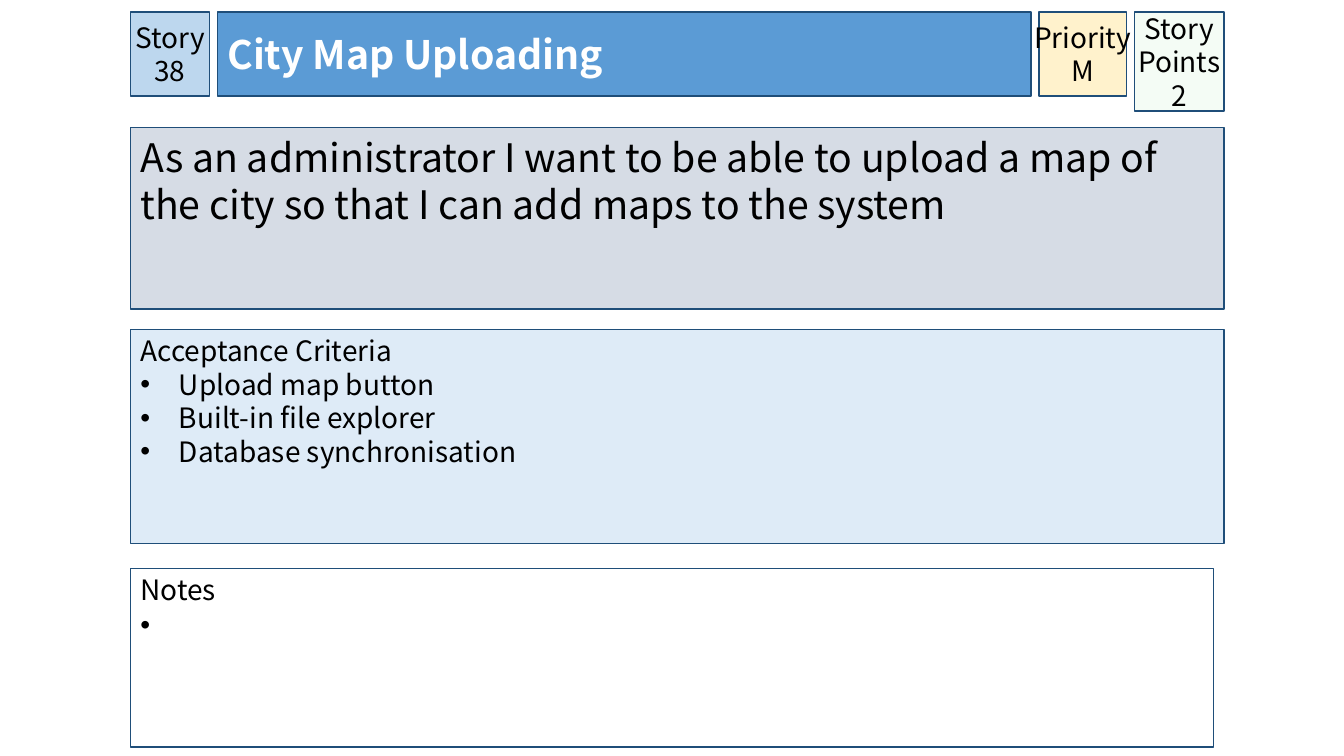
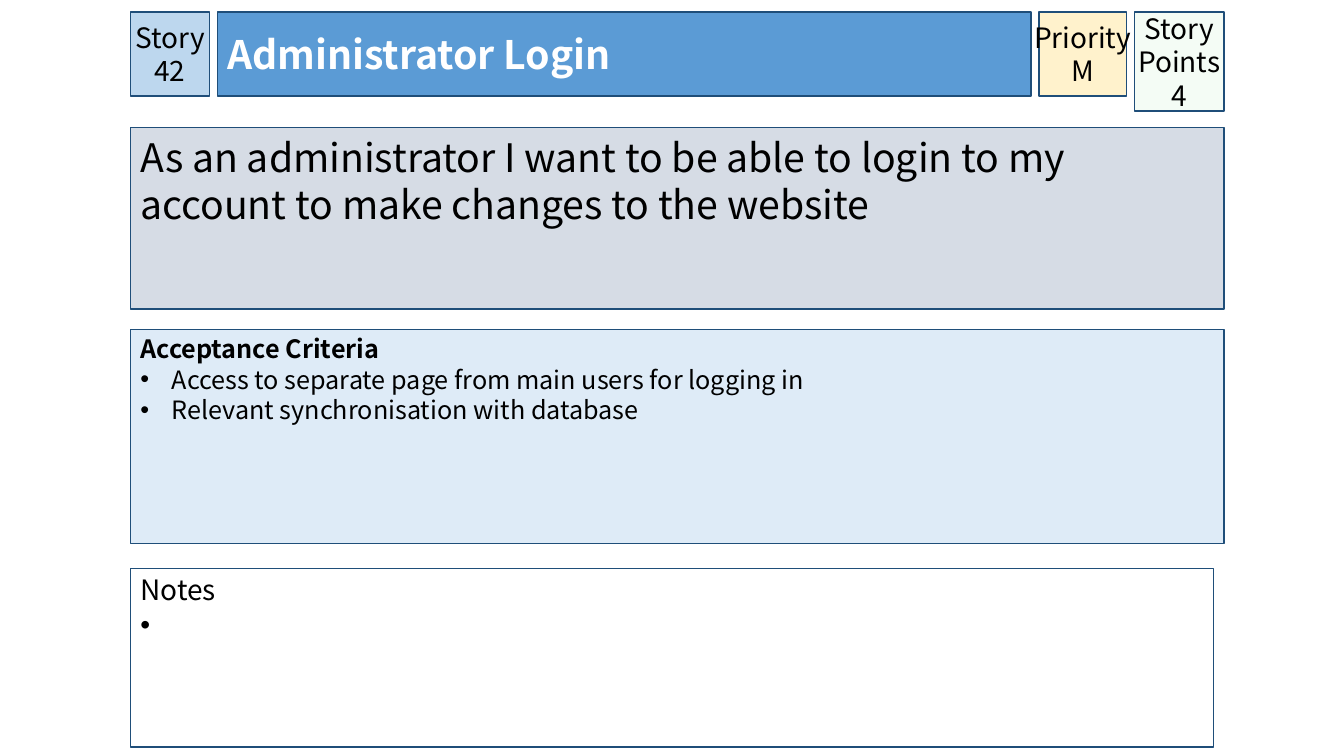
"""Build two user story cards, one per slide."""
from dataclasses import dataclass

from lxml.etree import SubElement
from pptx import Presentation
from pptx.dml.color import RGBColor
from pptx.enum.shapes import MSO_SHAPE
from pptx.enum.text import MSO_ANCHOR, PP_ALIGN
from pptx.oxml.ns import qn
from pptx.util import Cm, Pt


@dataclass(frozen=True)
class Theme:
    font: str = "Noto Sans CJK KR"
    ink: str = "000000"
    light: str = "FFFFFF"
    edge: str = "1F4E79"
    story: str = "BDD7EE"
    title: str = "5B9BD5"
    rank: str = "FFF2CC"
    points: str = "CCF0CD"
    goal: str = "D6DCE5"
    tests: str = "DEEBF7"
    notes: str = "FFFFFF"
    large: int = 28
    body: int = 20
    small: int = 18


THEME = Theme()

STORIES = [
    {
        "story": ["Story 38"],
        "title": ["City Map Uploading"],
        "rank": ["Priority", "M"],
        "points": ["Story Points", "2"],
        "goal": ["As an administrator I want to be able to upload a map of the city "
                 "so that I can add maps to the system"],
        "tests": ["Acceptance Criteria", "Upload map button",
                  "Built-in file explorer", "Database synchronisation"],
        "notes": ["Notes", "•"],
        "style": {"indent": 0.97},
    },
    {
        "story": ["Story 42"],
        "title": ["Administrator Login"],
        "rank": ["Priority", "M"],
        "points": ["Story Points", "4"],
        "goal": ["As an administrator I want to be able to login to my account "
                 "to make changes to the website"],
        "tests": ["Acceptance Criteria",
                  "Access to separate page from main users for logging in",
                  "Relevant synchronisation with database"],
        "notes": ["Notes", "•"],
        "style": {"indent": 0.79, "size": THEME.small, "bold": True},
    },
]

LEFT, TOP, GAP = 3.29, 0.3, 0.2
BADGE = {"center": True, "middle": True, "side": 0}
HEADER = [
    ("story", 1.99, 2.12, BADGE),
    ("title", 20.5, 2.12,
     {"size": THEME.large, "bold": True, "color": THEME.light, "middle": True}),
    ("rank", 2.21, 2.12, BADGE | {"wrap": False}),
    ("points", 2.26, 2.5, BADGE),
]
WIDE = sum(width for _, width, _, _ in HEADER) + GAP * (len(HEADER) - 1)
PANELS = [
    ("goal", 3.22, WIDE, 4.57, {"size": THEME.large}),
    ("tests", 8.31, WIDE, 5.38, {"top": 0.1}),
    ("notes", 14.33, 27.3, 4.5, {"top": 0.1}),
]
ALPHA = {"points": 20}


def write(shape, lines, size=THEME.body, color=THEME.ink, bold=False, center=False,
          middle=False, wrap=True, side=0.25, top=0.13, indent=0):
    """Fill a shape with lines; an indent bullets all but the first."""
    frame = shape.text_frame
    frame.word_wrap = wrap
    frame.vertical_anchor = MSO_ANCHOR.MIDDLE if middle else MSO_ANCHOR.TOP
    frame.margin_left = frame.margin_right = Cm(side)
    frame.margin_top, frame.margin_bottom = Cm(top), Cm(0.13)
    for row, line in enumerate(lines):
        para = frame.add_paragraph() if row else frame.paragraphs[0]
        para.alignment = PP_ALIGN.CENTER if center else PP_ALIGN.LEFT
        if row and indent:
            props = para._p.get_or_add_pPr()
            props.set("marL", str(Cm(indent)))
            props.set("indent", str(-Cm(indent)))
            SubElement(props, qn("a:buFont"), typeface="Arial")
            SubElement(props, qn("a:buChar"), char="•")
        run = para.add_run()
        run.text = line
        run.font.name = "Arial" if line == "•" else THEME.font
        run.font.size = Pt(size)
        run.font.bold = bold and row == 0
        run.font.color.rgb = RGBColor.from_string(color)


def panel(slide, name, left, top, width, height):
    """Add the outlined rectangle for one part of the card."""
    shape = slide.shapes.add_shape(
        MSO_SHAPE.RECTANGLE, Cm(left), Cm(top), Cm(width), Cm(height))
    shape.shadow.inherit = False
    shape.fill.solid()
    shape.fill.fore_color.rgb = RGBColor.from_string(getattr(THEME, name))
    shape.line.color.rgb = RGBColor.from_string(THEME.edge)
    shape.line.width = Pt(1)
    if name in ALPHA:
        tint = shape._element.spPr.find(qn("a:solidFill")).find(qn("a:srgbClr"))
        SubElement(tint, qn("a:alpha"), val=str(ALPHA[name] * 1000))
    return shape


def card(slide, story):
    """Lay out the header row and the panels of one story."""
    left = LEFT
    for name, width, height, style in HEADER:
        write(panel(slide, name, left, TOP, width, height), story[name], **style)
        left += width + GAP
    for name, top, width, height, style in PANELS:
        extra = story["style"] if name == "tests" else {}
        write(panel(slide, name, LEFT, top, width, height), story[name],
              **(style | extra))


def main():
    """Save the deck."""
    deck = Presentation()
    deck.slide_width, deck.slide_height = Cm(33.87), Cm(19.05)
    for story in STORIES:
        card(deck.slides.add_slide(deck.slide_layouts[6]), story)
    deck.save("out.pptx")


if __name__ == "__main__":
    main()
